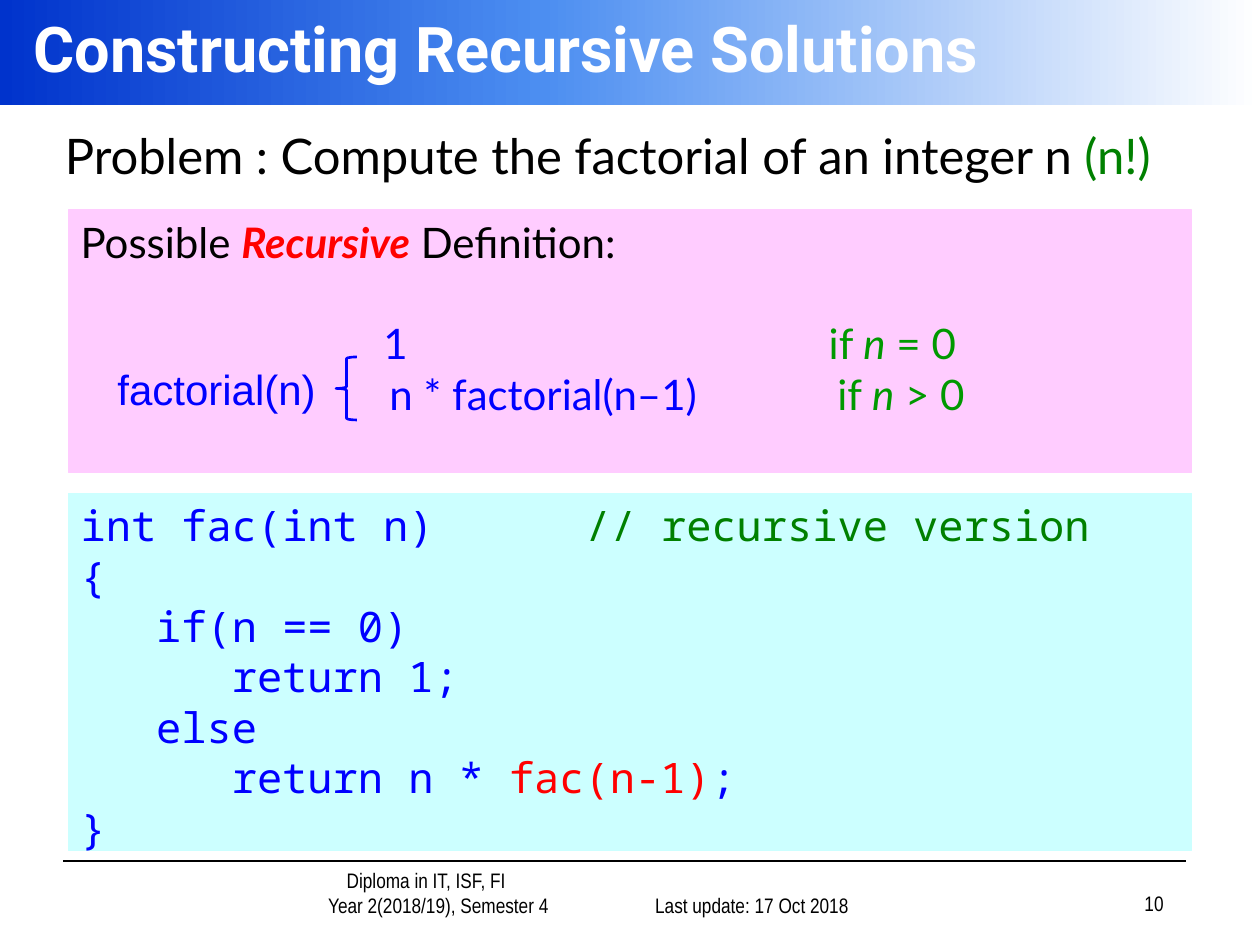
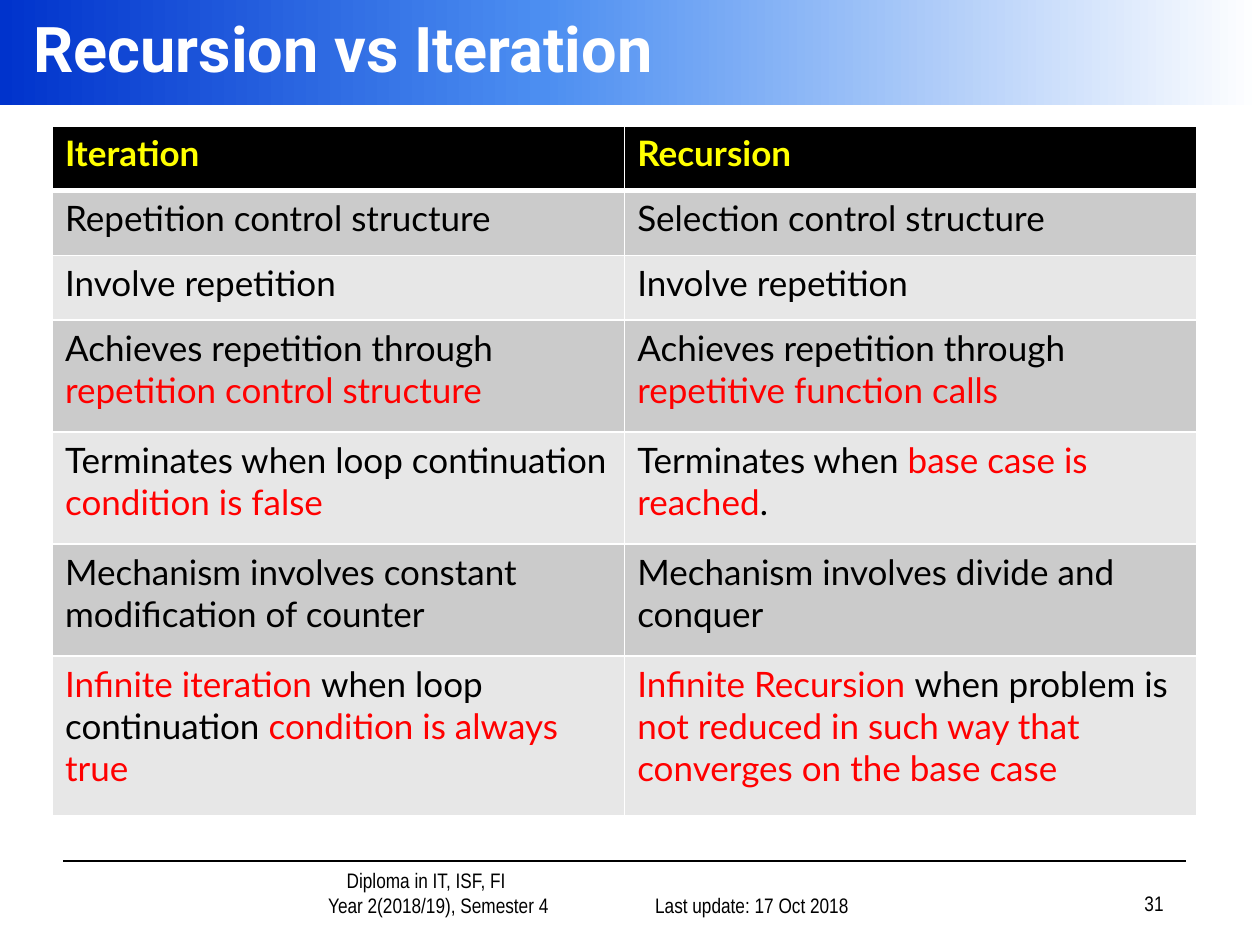
from copy import deepcopy
from dataclasses import dataclass
from typing import Any, NamedTuple

from lxml.etree import SubElement
from pptx import Presentation
from pptx.dml.color import RGBColor
from pptx.enum.shapes import MSO_CONNECTOR, MSO_SHAPE
from pptx.enum.text import MSO_ANCHOR, PP_ALIGN
from pptx.oxml.ns import qn
from pptx.util import Pt

# Shared colours and fonts
BLACK, WHITE, RED, BLUE = "000000", "FFFFFF", "FF0000", "0000FF"
GREEN, LEAF, YELLOW = "008000", "009900", "FFFF00"
PINK, CYAN = "FFCCFF", "CCFFFF"
GREYS = ("CBCBCB", "E7E7E7")
BAND = ((0, "0033CC"), (0.43, "4C8EF1"), (1, WHITE))
BODY, CODE, HEAD, PLAIN, FOOT = "Lato", "Noto Sans Mono", "Roboto", "Arial", "Arial Narrow"


class Box(NamedTuple):
    left: float
    top: float
    width: float
    height: float

    def points(self) -> list[Pt]:
        return [Pt(v) for v in self]


@dataclass(frozen=True)
class Run:
    text: str
    color: str = BLACK
    bold: bool = False
    italic: bool = False


@dataclass(frozen=True)
class Para:
    runs: tuple[Run, ...]
    left: float = 0
    align: PP_ALIGN = PP_ALIGN.LEFT


@dataclass(frozen=True)
class Note:
    """One footer text: its place and its paragraphs."""
    box: Box
    paras: tuple[Para, ...]


def paint(code: str) -> RGBColor:
    return RGBColor.from_string(code)


def apply(target: Any, values: dict[str, Any]) -> None:
    for name, value in values.items():
        setattr(target, name, value)


def line(*runs: Run, **layout: Any) -> Para:
    return Para(runs, **layout)


# Text
def write(frame: Any, paras: tuple[Para, ...], font: str, size: float,
          anchor: MSO_ANCHOR = MSO_ANCHOR.TOP) -> None:
    apply(frame, {"word_wrap": True, "vertical_anchor": anchor})
    for i, item in enumerate(paras):
        para = frame.add_paragraph() if i else frame.paragraphs[0]
        para.alignment = item.align
        props = para._p.get_or_add_pPr()
        props.set("marL", str(Pt(item.left)))
        props.set("indent", "0")
        for part in item.runs:
            run = para.add_run()
            run.text = part.text
            apply(run.font, {"name": font, "size": Pt(size),
                             "bold": part.bold, "italic": part.italic})
            run.font.color.rgb = paint(part.color)


def label(slide: Any, box: Box, paras: tuple[Para, ...], font: str, size: float,
          anchor: MSO_ANCHOR = MSO_ANCHOR.TOP) -> None:
    shape = slide.shapes.add_textbox(*box.points())
    write(shape.text_frame, paras, font, size, anchor)


# Shapes
def shape(slide: Any, kind: MSO_SHAPE, box: Box) -> Any:
    item = slide.shapes.add_shape(kind, *box.points())
    item.shadow.inherit = False
    return item


def panel(slide: Any, box: Box, color: str, paras: tuple[Para, ...], font: str) -> None:
    item = shape(slide, MSO_SHAPE.RECTANGLE, box)
    item.fill.solid()
    item.fill.fore_color.rgb = paint(color)
    item.line.color.rgb = paint(color)
    item.line.width = Pt(0.75)
    write(item.text_frame, paras, font, 24)


def brace(slide: Any, box: Box) -> None:
    item = shape(slide, MSO_SHAPE.LEFT_BRACE, box)
    item.adjustments[0] = 0.08
    item.fill.background()
    item.line.color.rgb = paint(BLUE)
    item.line.width = Pt(1.5)


def band(slide: Any) -> None:
    item = shape(slide, MSO_SHAPE.RECTANGLE, Box(0, 0, 720, 60))
    item.line.fill.background()
    item.fill.gradient()
    item.fill.gradient_angle = 0
    first = next(item.element.iter(qn("a:gs")))
    first.addnext(deepcopy(first))
    for stop, (spot, color) in zip(item.fill.gradient_stops, BAND):
        stop.position = spot
        stop.color.rgb = paint(color)


def rule(slide: Any) -> None:
    item = slide.shapes.add_connector(
        MSO_CONNECTOR.STRAIGHT, Pt(36), Pt(492), Pt(678), Pt(492))
    item.line.color.rgb = paint(BLACK)
    item.line.width = Pt(1)
    SubElement(item.element.spPr, qn("a:effectLst"))


# Frame shared by both slides
def frame(deck: Any, title: str, page: int) -> Any:
    slide = deck.slides.add_slide(deck.slide_layouts[6])
    rule(slide)
    band(slide)
    mid, right = PP_ALIGN.CENTER, PP_ALIGN.RIGHT
    notes = (
        Note(Box(121, 498, 209, 30), (
            line(Run("Diploma in IT, ISF, FI"), left=36, align=mid),
            line(Run("Year 2(2018/19), Semester 4"), left=50, align=mid))),
        Note(Box(342, 498, 150, 30),
             (line(Run("Last update: 17 Oct 2018"), align=right),)),
        Note(Box(522, 497, 150, 30), (line(Run(str(page)), align=right),)),
    )
    for note in notes:
        label(slide, note.box, note.paras, FOOT, 12, MSO_ANCHOR.BOTTOM)
    label(slide, Box(12, 0, 708, 54), (line(Run(title, WHITE, bold=True)),),
          HEAD, 36, MSO_ANCHOR.MIDDLE)
    return slide


# Table
def edge(cell: Any, top: float, base: float) -> None:
    props = cell._tc.get_or_add_tcPr()
    sides = {"lnL": 1, "lnR": 1, "lnT": top, "lnB": base}
    for i, (side, width) in enumerate(sides.items()):
        border = SubElement(props, qn(f"a:{side}"), w=str(Pt(width)))
        fill = SubElement(border, qn("a:solidFill"))
        SubElement(fill, qn("a:srgbClr"), val=WHITE)
        props.insert(i, border)


def grid(slide: Any, box: Box, rows: list[tuple], tall: list[float]) -> None:
    table = slide.shapes.add_table(len(rows), len(rows[0]), *box.points()).table
    table.horz_banding = False
    for col in table.columns:
        col.width = Pt(box.width / len(rows[0]))
    for r, row in enumerate(rows):
        table.rows[r].height = Pt(tall[r])
        for c, runs in enumerate(row):
            cell = table.cell(r, c)
            cell.fill.solid()
            cell.fill.fore_color.rgb = paint(GREYS[(r - 1) % 2] if r else BLACK)
            edge(cell, 3 if r == 1 else 1, 1 if r else 3)
            write(cell.text_frame, (line(*runs),), BODY, 20)


deck = Presentation()
apply(deck, {"slide_width": Pt(720), "slide_height": Pt(540)})

# Slide 1: factorial, as a definition and as code
slide = frame(deck, "Constructing Recursive Solutions", 10)
label(slide, Box(30, 68, 672, 41), (
    line(Run("Problem : Compute the factorial of an integer n "), Run("(n!)", GREEN)),
), BODY, 28)


def test(rest: str, left: float = 0) -> Para:
    return line(Run("if ", LEAF), Run("n", LEAF, italic=True), Run(rest, LEAF), left=left)


# Definition: label, brace, column of values, column of tests
panel(slide, Box(39, 120, 642, 150), PINK, (
    line(Run("Possible "), Run("Recursive", RED, True, True), Run(" Definition:")),
), BODY)
label(slide, Box(60, 204, 138, 37), (line(Run("factorial(n)", BLUE)),), PLAIN, 24)
brace(slide, Box(192, 204, 12, 36))
label(slide, Box(212, 178, 210, 65), (
    line(Run("1", BLUE)),
    line(Run("n * factorial(n–1)", BLUE), left=3.5),
), BODY, 24)
label(slide, Box(466.5, 178, 130, 65), (test(" = 0"), test(" > 0", 4.9)), BODY, 24)

# Code, with its comment set apart
STEP = 43.2  # three characters of code
panel(slide, Box(39, 282, 642, 204), CYAN, (
    line(Run("int fac(int n)", BLUE)),
    line(Run("{", BLUE)),
    line(Run("if(n == 0)", BLUE), left=STEP),
    line(Run("return 1;", BLUE), left=2 * STEP),
    line(Run("else", BLUE), left=STEP),
    line(Run("return n * ", BLUE), Run("fac(n-1)", RED), Run(";", BLUE), left=2 * STEP),
    line(Run("}", BLUE)),
), CODE)
label(slide, Box(327.5, 282, 340, 36),
      (line(Run("// recursive version", GREEN)),), CODE, 24)

# Slide 2: comparison table
slide = frame(deck, "Recursion vs Iteration", 31)
rows = [
    ((Run("Iteration", YELLOW, True),), (Run("Recursion", YELLOW, True),)),
    ((Run("Repetition control structure"),), (Run("Selection control structure"),)),
    ((Run("Involve repetition"),),) * 2,
    ((Run("Achieves repetition through "), Run("repetition control structure", RED)),
     (Run("Achieves repetition through "), Run("repetitive function calls", RED))),
    ((Run("Terminates when loop continuation "), Run("condition is false", RED)),
     (Run("Terminates when "), Run("base case is reached", RED), Run("."))),
    ((Run("Mechanism involves constant modification of counter"),),
     (Run("Mechanism involves divide and conquer"),)),
    ((Run("Infinite iteration ", RED), Run("when loop continuation "),
      Run("condition is always true", RED)),
     (Run("Infinite Recursion ", RED), Run("when problem is "),
      Run("not reduced in such way that converges on the base case", RED))),
]
grid(slide, Box(30, 72, 654, 395), rows, [37] * 3 + [64] * 3 + [91.5])

deck.save("out.pptx")
